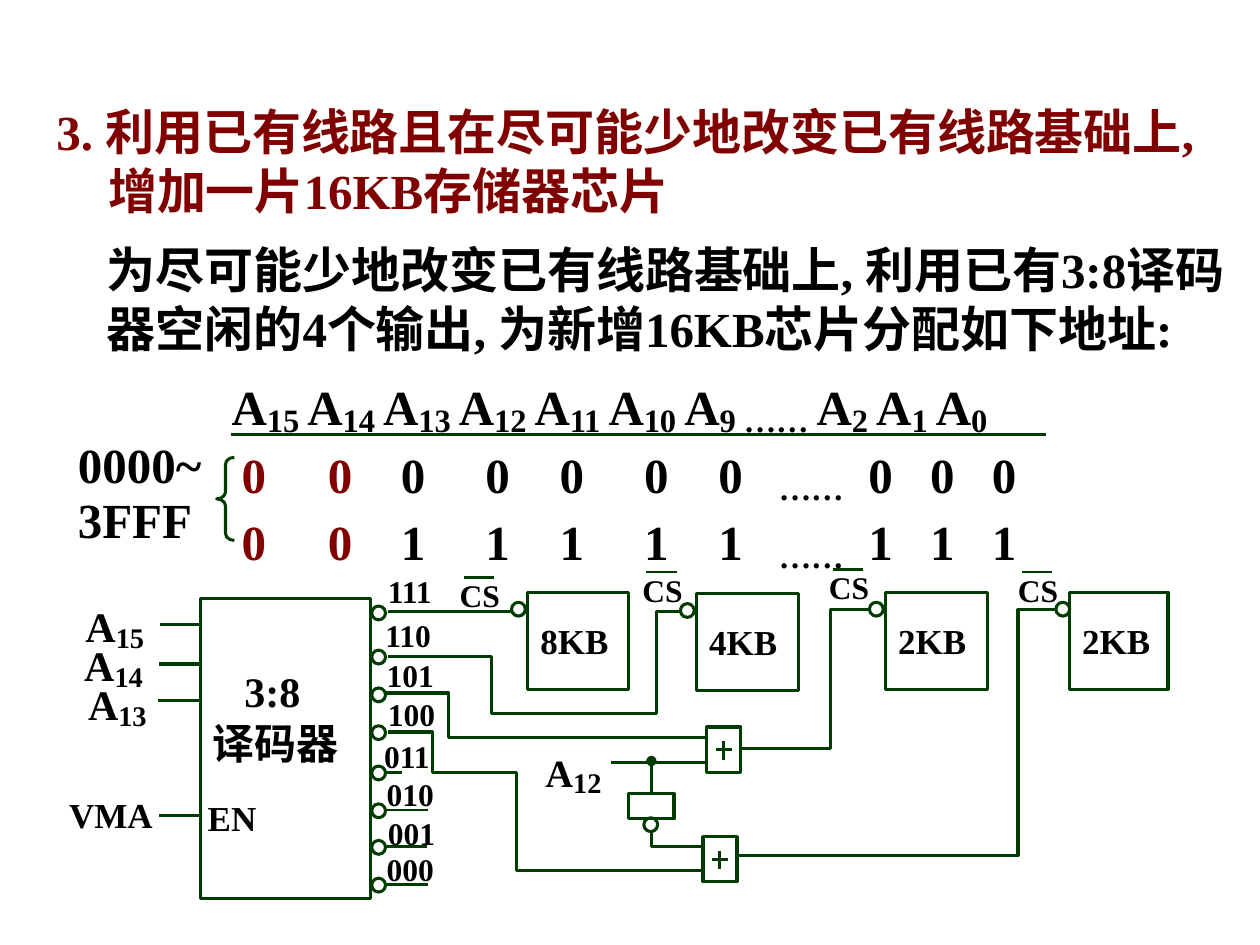
from lxml.etree import SubElement
from pptx import Presentation
from pptx.dml.color import RGBColor
from pptx.enum.shapes import MSO_CONNECTOR, MSO_SHAPE
from pptx.enum.text import MSO_ANCHOR
from pptx.oxml.ns import qn
from pptx.util import Pt

PX = 9144
FONT = "Times New Roman"
COLORS = {"line": "003C00", "text": "000000", "accent": "800000"}


def rgb(name):
    return RGBColor.from_string(COLORS[name])


def style_font(font, size, color="text"):
    font.name = FONT
    font.size = Pt(size)
    font.bold = True
    font.color.rgb = rgb(color)


def outline(sp, weight=1.75):
    sp.line.color.rgb = rgb("line")
    sp.line.width = Pt(weight)


def add_shape(s, kind, x, y, w, h):
    sp = s.shapes.add_shape(kind, x * PX, y * PX, w * PX, h * PX)
    sp.shadow.inherit = False
    sp.fill.background()
    outline(sp)
    return sp


def add_line(s, x1, y1, x2, y2, weight=1.75):
    line = s.shapes.add_connector(MSO_CONNECTOR.STRAIGHT, x1 * PX, y1 * PX, x2 * PX, y2 * PX)
    outline(line, weight)
    SubElement(line._element.spPr, qn("a:effectLst"))
    return line


def add_bubble(s, x, y):
    add_shape(s, MSO_SHAPE.OVAL, x, y, 11, 11)


def add_box(s, x, y, w, h, wrap=True):
    tf = s.shapes.add_textbox(x * PX, y * PX, w * PX, h * PX).text_frame
    tf.word_wrap = wrap
    return tf


def add_text(s, box, text, size, color="text", wrap=True):
    p = add_box(s, *box, wrap).paragraphs[0]
    p.text = text
    style_font(p.font, size, color)
    return p


def add_run(p, text, size, base=0, color="text"):
    r = p.add_run()
    r.text = text
    style_font(r.font, size, color)
    if base:
        r.font._element.set("baseline", str(base * 1000))


def signal(s, x, y, number, size):
    p = add_box(s, x, y, 72, 50, False).paragraphs[0]
    add_run(p, "A", size)
    add_run(p, number, 28, -12)


def heading(s, box):
    p = add_text(s, box, "3. 利用已有线路且在尽可能少地改变已有线路基础上, 增加一片16KB存储器芯片", 28, "accent")
    pPr = p._p.get_or_add_pPr()
    pPr.set("marL", str(41 * PX))
    pPr.set("indent", str(-41 * PX))


def address_map(s, box):
    x, y, w, h = box
    p = add_box(s, x + 122, y, 697, 57).paragraphs[0]
    for number in ("15 ", "14 ", "13 ", "12 ", "11 ", "10 ", "9 …… ", "2 ", "1 ", "0"):
        add_run(p, "A", 28)
        add_run(p, number, 32, -14)
    add_line(s, x + 131, y + 57, x + 778, y + 57, 1.5)

    p = add_text(s, (x, y + 55, 125, 99), "0000~3FFF", 28)
    p.line_spacing = 0.95
    brace = add_shape(s, MSO_SHAPE.LEFT_BRACE, x + 120, y + 75, 14, 66)
    brace.adjustments[0] = 0.39

    tf = add_box(s, x + 130, y + 54, 679, 101)
    for i, bit in enumerate("01"):
        p = tf.add_paragraph() if i else tf.paragraphs[0]
        if i:
            p.line_spacing = 0.95
        tabs = SubElement(p._p.get_or_add_pPr(), qn("a:tabLst"))
        for stop in (78, 136, 203, 262, 329, 388, 452, 507, 556, 605):
            SubElement(tabs, qn("a:tab"), pos=str(stop * PX), algn="ctr")
        add_run(p, "0\t0", 28, color="accent")
        add_run(p, f"\t{bit}" * 5 + "\t", 28)
        add_run(p, "……", 32, -14)
        add_run(p, f"\t{bit}" * 3, 28)


def decoder(s, box):
    x, y, w, h = box
    sp = add_shape(s, MSO_SHAPE.RECTANGLE, *box)
    tf = sp.text_frame
    tf.vertical_anchor = MSO_ANCHOR.TOP
    tf.margin_top = 53 * PX
    for i, text in enumerate(("3:8", "译码器")):
        p = tf.add_paragraph() if i else tf.paragraphs[0]
        p.text = text
        pPr = p._p.get_or_add_pPr()
        pPr.set("algn", "l")
        if i:
            p.space_before = Pt(1)
        else:
            pPr.set("marL", str(25 * PX))
        style_font(p.font, 24)

    for number, dx, dy in (("15", -101, -9), ("14", -102, 22), ("13", -99, 53)):
        signal(s, x + dx, y + dy, number, 24)
    for dx, dy in ((-32, 21), (-33, 52), (-34, 81), (-33, 172)):
        add_line(s, x + dx, y + dy, x, y + dy)
    add_text(s, (x - 114, y + 150, 121, 43), "VMA", 20)
    add_text(s, (x - 4, y + 152, 74, 43), "EN", 20)

    outputs = (
        ("111", 139, -26, 6, 0), ("110", 137, 9, 41, 0),
        ("101", 138, 41, 71, 0), ("100", 139, 72, 101, 0),
        ("011", 136, 105, 133, 13), ("010", 138, 135, 163, 34),
        ("001", 139, 166, 192, 33), ("000", 138, 195, 222, 34),
    )
    for code, dx, label_y, bubble_y, stub in outputs:
        add_text(s, (x + dx, y + label_y, 58, 40), code, 18, wrap=False)
        add_bubble(s, x + w + 1, y + bubble_y)
        if stub:
            add_line(s, x + w + 12, y + bubble_y + 5, x + w + 12 + stub, y + bubble_y + 5, 1.5)


def chip(s, box, size, cs_dx, cs_dy, bubble_dx):
    x, y, w, h = box
    tf = add_shape(s, MSO_SHAPE.RECTANGLE, *box).text_frame
    tf.word_wrap = False
    tf.vertical_anchor = MSO_ANCHOR.MIDDLE
    p = tf.paragraphs[0]
    p.text = size
    p._p.get_or_add_pPr().set("algn", "l")
    style_font(p.font, 20)
    add_bubble(s, x + bubble_dx, y + 8)
    cs_x, cs_y = x + cs_dx, y + cs_dy
    add_text(s, (cs_x, cs_y, 69, 40), "CS", 18)
    add_line(s, cs_x + 13, cs_y + 6, cs_x + 37, cs_y + 6, 1.7)


def or_gate(s, box):
    x, y, w, h = box
    add_shape(s, MSO_SHAPE.RECTANGLE, *box)
    add_line(s, x + 7, y + 18, x + 20, y + 18)
    add_line(s, x + 13, y + 11, x + 13, y + 26)


def inverter(s, box):
    x, y, w, h = box
    middle = x + w // 2
    signal(s, x - 76, y - 49, "12", 22)
    add_line(s, x + 62, y - 25, x - 14, y - 25)
    sp = add_shape(s, MSO_SHAPE.RECTANGLE, *box)
    add_bubble(s, x + 12, y + 19)
    line = add_line(s, middle, y - 26, middle, y)
    line.end_connect(sp, 0)
    SubElement(line.line._get_or_add_ln(), qn("a:headEnd"), type="oval")


def wiring(s, x, y):
    add_line(s, x + 8, y + 5, x + 106, y + 5)
    wires = (
        [(8, 41), (90, 41), (90, 86), (221, 86), (221, 5), (241, 5)],
        [(6, 70), (56, 70), (56, 105), (261, 105)],
        [(8, 101), (43, 101), (43, 133), (110, 133), (110, 211), (258, 211)],
        [(217, 179), (217, 192), (258, 192)],
        [(288, 114), (359, 114), (359, 4), (391, 4)],
        [(285, 199), (508, 199), (508, 4), (539, 4)],
    )
    for wire in wires:
        points = [(x + dx, y + dy) for dx, dy in wire]
        fb = s.shapes.build_freeform(*points[0], scale=PX)
        fb.add_line_segments(points[1:], close=False)
        sp = fb.convert_to_shape()
        sp.shadow.inherit = False
        sp.fill.background()
        outline(sp)


def main():
    prs = Presentation()
    prs.slide_width, prs.slide_height = 1000 * PX, 750 * PX
    s = prs.slides.add_slide(prs.slide_layouts[6])
    heading(s, (35, 76, 937, 103))
    add_text(s, (75, 185, 921, 103),
             "为尽可能少地改变已有线路基础上, 利用已有3:8译码器空闲的4个输出, 为新增16KB芯片分配如下地址:", 28)
    address_map(s, (52, 288, 819, 155))
    decoder(s, (159, 475, 135, 238))
    chip(s, (419, 470, 80, 77), "8KB", -64, -18, -13)
    chip(s, (553, 471, 81, 77), "4KB", -53, -23, -13)
    chip(s, (703, 470, 81, 77), "2KB", -55, -24, -13)
    chip(s, (849, 470, 78, 77), "2KB", -51, -22, -11)
    or_gate(s, (561, 577, 27, 36))
    or_gate(s, (558, 664, 27, 36))
    inverter(s, (499, 630, 36, 20))
    wiring(s, 300, 480)
    prs.save("out.pptx")


if __name__ == "__main__":
    main()
